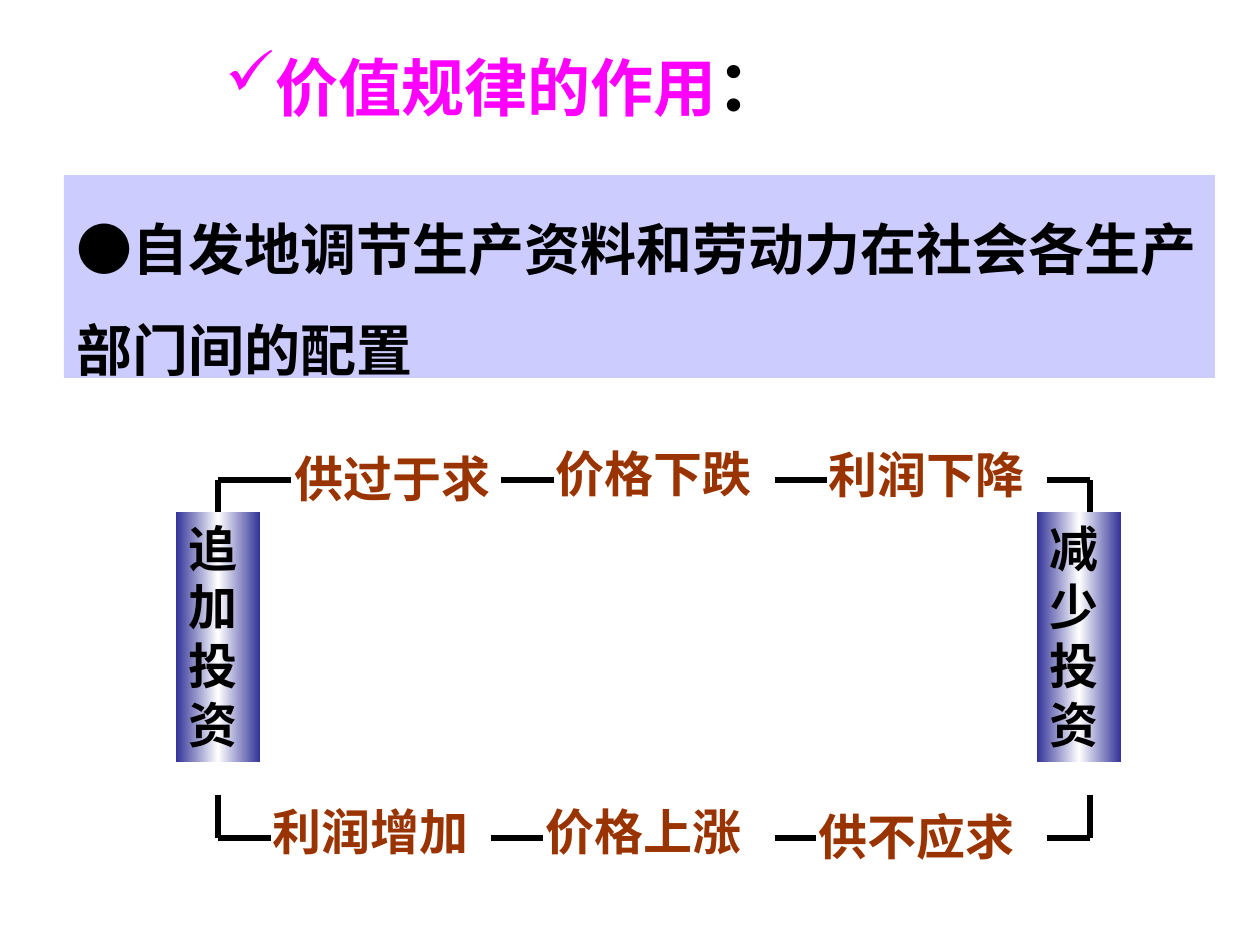
from copy import deepcopy
from dataclasses import dataclass

from lxml import etree
from pptx import Presentation
from pptx.dml.color import RGBColor
from pptx.enum.dml import MSO_LINE
from pptx.enum.shapes import MSO_CONNECTOR as Connector, MSO_SHAPE as Shape
from pptx.enum.text import MSO_ANCHOR as Anchor, MSO_AUTO_SIZE as AutoSize, PP_ALIGN as Align
from pptx.oxml.ns import qn
from pptx.util import Emu, Pt

PX = 914400 / 126
LATIN, CJK = "Arial", "Noto Sans CJK SC"
BLACK, BROWN, MAGENTA = "000000", "993300", "FF00FF"
NAVY, WHITE, LAVENDER = "333399", "FFFFFF", "CCCCFF"
TOP_Y, BOTTOM_Y = 480, 838
LEFT_X, RIGHT_X = 218, 1090


@dataclass(frozen=True)
class Label:
    text: str
    left: int
    top: int
    width: int = 223
    height: int = 72


@dataclass(frozen=True)
class Segment:
    x1: int
    y1: int
    x2: int
    y2: int


STAGES = [
    Label("供过于求", 282, 442),
    Label("价格下跌", 543, 437),
    Label("利润下降", 816, 438),
    Label("供不应求", 806, 800),
    Label("价格上涨", 533, 795),
    Label("利润增加", 260, 795),
]
ADD_INVESTMENT = Label("追加投资", 176, 512, 84, 250)
CUT_INVESTMENT = Label("减少投资", 1037, 512, 84, 250)

TOP_SPANS = [(LEFT_X, 291), (501, 554), (775, 827), (1047, RIGHT_X)]
BOTTOM_SPANS = [(LEFT_X, 271), (491, 543), (775, 816), (1047, RIGHT_X)]
SEGMENTS = [
    *(Segment(x1, TOP_Y, x2, TOP_Y) for x1, x2 in TOP_SPANS),
    *(Segment(x1, BOTTOM_Y, x2, BOTTOM_Y) for x1, x2 in BOTTOM_SPANS),
    Segment(RIGHT_X, TOP_Y, RIGHT_X, 512),
    *(Segment(x, 795, x, BOTTOM_Y) for x in (LEFT_X, RIGHT_X)),
]


def px(length: int) -> Emu:
    return Emu(round(length * PX))


def rgb(colour: str) -> RGBColor:
    return RGBColor.from_string(colour)


def place(shape, left: int, top: int, width: int, height: int) -> None:
    shape.left, shape.top = px(left), px(top)
    shape.width, shape.height = px(width), px(height)


def style_run(run, size: int, colour: str, latin: str = LATIN) -> None:
    font = run.font
    font.size, font.bold, font.name = Pt(size), True, latin
    font.color.rgb = rgb(colour)
    run._r.get_or_add_rPr().find(qn("a:latin")).addnext(
        etree.Element(qn("a:ea"), typeface=CJK))


def set_frame(frame, wrap: bool = True) -> None:
    frame.word_wrap = wrap
    frame.auto_size = AutoSize.NONE
    frame.vertical_anchor = Anchor.TOP
    frame.paragraphs[0].alignment = Align.LEFT


def set_bullet(paragraph, char: str = "") -> None:
    """Put a bullet, or none, flush with the text's left edge."""
    properties = paragraph._p.get_or_add_pPr()
    properties.set("marL", "0")
    properties.set("indent", "0")
    if char:
        etree.SubElement(properties, qn("a:buChar"), char=char)
    else:
        etree.SubElement(properties, qn("a:buNone"))


def fill_title(title) -> None:
    place(title, 213, 35, 829, 97)
    set_frame(title.text_frame)
    heading = title.text_frame.paragraphs[0]
    set_bullet(heading, "✓")
    for text, size, colour in (("价值规律的作用", 36, MAGENTA), ("：", 40, BLACK)):
        run = heading.add_run()
        run.text = text
        style_run(run, size, colour, CJK)


def fill_statement(body) -> None:
    place(body, 64, 175, 1151, 203)
    body.fill.solid()
    body.fill.fore_color.rgb = rgb(LAVENDER)
    body.text_frame.text = "●自发地调节生产资料和劳动力在社会各生产部门间的配置"
    set_frame(body.text_frame)
    statement = body.text_frame.paragraphs[0]
    set_bullet(statement)
    statement.line_spacing = 1.5
    statement.space_before = Pt(0)
    style_run(statement.runs[0], 32, BLACK)


def add_stage(slide, stage: Label) -> None:
    box = slide.shapes.add_textbox(
        px(stage.left), px(stage.top), px(stage.width), px(stage.height))
    box.text_frame.text = stage.text
    set_frame(box.text_frame, wrap=False)
    style_run(box.text_frame.paragraphs[0].runs[0], 28, BROWN)


def add_pillar(slide, pillar: Label):
    """Add a tall box with a navy, white, navy gradient from left to right."""
    box = slide.shapes.add_shape(
        Shape.RECTANGLE, px(pillar.left), px(pillar.top), px(pillar.width), px(pillar.height))
    box.shadow.inherit = False
    box.line.fill.background()
    box.fill.gradient()
    box.fill.gradient_angle = 0
    stop_list = box._element.spPr.find(qn("a:gradFill")).find(qn("a:gsLst"))
    stop_list.insert(1, deepcopy(stop_list[0]))
    for stop, position, colour in zip(
            box.fill.gradient_stops, (0, 0.5, 1), (NAVY, WHITE, NAVY)):
        stop.position = position
        stop.color.rgb = rgb(colour)
    box.text_frame.text = pillar.text
    set_frame(box.text_frame)
    style_run(box.text_frame.paragraphs[0].runs[0], 28, BLACK)
    return box


def add_segment(slide, segment: Segment):
    line = slide.shapes.add_connector(
        Connector.STRAIGHT, px(segment.x1), px(segment.y1), px(segment.x2), px(segment.y2))
    line.line.color.rgb = rgb(BLACK)
    line.line.width = Pt(3)
    line.line.dash_style = MSO_LINE.SOLID
    etree.SubElement(line._element.spPr, qn("a:effectLst"))
    return line


def main() -> None:
    deck = Presentation()
    deck.slide_width, deck.slide_height = px(1260), px(945)
    slide = deck.slides.add_slide(deck.slide_layouts[1])
    fill_title(slide.shapes.title)
    fill_statement(slide.placeholders[1])

    add_box = add_pillar(slide, ADD_INVESTMENT)
    add_pillar(slide, CUT_INVESTMENT)
    for stage in STAGES:
        add_stage(slide, stage)
    for segment in SEGMENTS:
        add_segment(slide, segment)
    riser = add_segment(slide, Segment(LEFT_X, TOP_Y, LEFT_X, 512))
    riser.end_connect(add_box, 0)

    deck.save("out.pptx")


if __name__ == "__main__":
    main()
